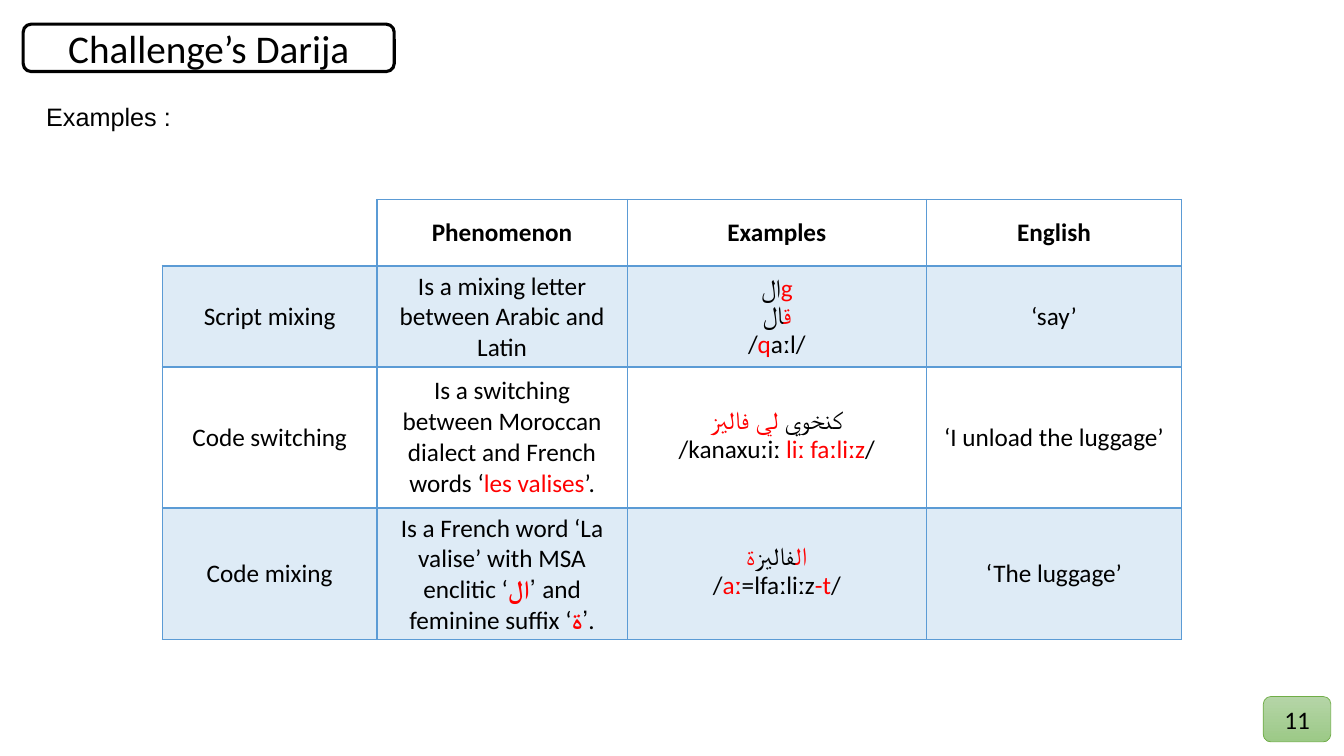
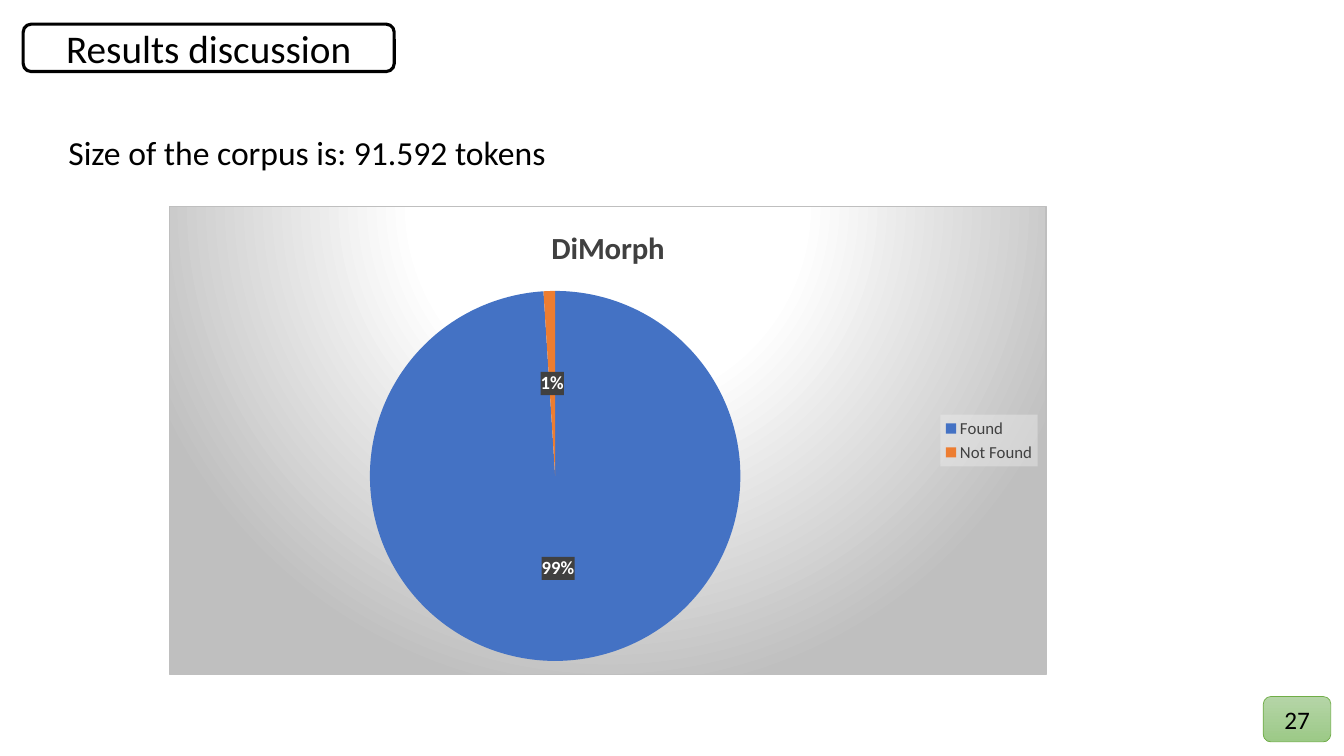
from lxml import etree
from pptx import Presentation
from pptx.chart.data import CategoryChartData
from pptx.dml.color import RGBColor
from pptx.enum.chart import XL_CHART_TYPE, XL_LABEL_POSITION, XL_LEGEND_POSITION
from pptx.enum.shapes import MSO_SHAPE
from pptx.enum.text import MSO_ANCHOR, PP_ALIGN
from pptx.oxml import parse_xml
from pptx.oxml.ns import nsdecls, qn
from pptx.util import Emu, Pt

PIE = XL_CHART_TYPE.PIE
MID_LABEL = XL_LABEL_POSITION.CENTER
RIGHT = XL_LEGEND_POSITION.RIGHT
ROUND = MSO_SHAPE.ROUNDED_RECTANGLE
MIDDLE = MSO_ANCHOR.MIDDLE
TOP = MSO_ANCHOR.TOP
LEFT = PP_ALIGN.LEFT
CENTER = PP_ALIGN.CENTER

BLACK = RGBColor(0x00, 0x00, 0x00)
WHITE = RGBColor(0xFF, 0xFF, 0xFF)
RED = RGBColor(0xFF, 0x00, 0x00)
SKY = RGBColor(0x5B, 0x9B, 0xD5)
BLUE = RGBColor(0x44, 0x72, 0xC4)
ORANGE = RGBColor(0xED, 0x7D, 0x31)
LEAF = RGBColor(0x70, 0xAD, 0x47)
PALE = RGBColor(0xB5, 0xD5, 0xA7)
MOSS = RGBColor(0x9C, 0xC9, 0x87)
GREY = RGBColor(0x40, 0x40, 0x40)
SILVER = RGBColor(0xBF, 0xBF, 0xBF)
MIST = RGBColor(0xF2, 0xF2, 0xF2)

SCALE = 9144
FONT = "Calibri"


def px(size):
    return Emu(size * SCALE)


def style(font, size=18, name=FONT, color=BLACK, bold=False):
    font.size = Pt(size)
    font.name = name
    font.bold = bold
    font.color.rgb = color


def write(frame, text, align=CENTER, anchor=MIDDLE, **form):
    frame.word_wrap = True
    frame.vertical_anchor = anchor
    lines = text if isinstance(text, list) else [[text]]
    for i, line in enumerate(lines):
        para = frame.paragraphs[0] if i == 0 else frame.add_paragraph()
        para.alignment = align
        for part in line:
            words, extra = part if isinstance(part, tuple) else (part, {})
            run = para.add_run()
            run.text = words
            style(run.font, **{**form, **extra})


def red(text, bold=False):
    return text, {"color": RED, "bold": bold}


def solid(color, alpha):
    return (f'<a:solidFill><a:srgbClr val="{color}"><a:alpha val="{alpha * 1000}"/>'
            '</a:srgbClr></a:solidFill>')


def glow(inner, outer):
    stops = "".join(
        f'<a:gs pos="{pos * 1000}"><a:srgbClr val="{color}"/></a:gs>'
        for pos, color in ((0, inner), (39, inner), (100, outer)))
    return (f'<a:gradFill><a:gsLst>{stops}</a:gsLst><a:path path="circle">'
            '<a:fillToRect l="50000" t="-80000" r="50000" b="180000"/></a:path></a:gradFill>'
            f'<a:ln w="9525"><a:solidFill><a:srgbClr val="{outer}"/></a:solidFill></a:ln>')


def coat(node, look):
    skin = parse_xml(f'<c:spPr {nsdecls("c", "a")}>{look}</c:spPr>')
    node.find(qn("c:txPr")).addprevious(skin)


def edge(cell, sides):
    props = cell._tc.get_or_add_tcPr()
    for i, (side, width) in enumerate(sides.items()):
        props.insert(i, parse_xml(
            f'<a:ln{side} {nsdecls("a")} w="{Pt(width)}"><a:solidFill>'
            f'<a:srgbClr val="{SKY}"/></a:solidFill></a:ln{side}>'))


class Deck:
    def __init__(self):
        self.show = Presentation()
        self.show.slide_width = px(1333)
        self.show.slide_height = px(750)
        self.slide = None

    def page(self, title, number):
        self.slide = self.show.slides.add_slide(self.show.slide_layouts[6])
        head = self.box(23, 24, 368, 47, title, BLACK, 2.25, size=28)
        head.fill.solid()
        head.fill.fore_color.rgb = WHITE
        badge = self.box(1253, 691, 67, 45, number, LEAF, 0.5)
        badge.fill.gradient()
        badge.fill.gradient_angle = 270
        for stop, color in zip(badge.fill.gradient_stops, (PALE, MOSS)):
            stop.color.rgb = color

    def box(self, x, y, w, h, text, line, width, **form):
        shape = self.slide.shapes.add_shape(ROUND, px(x), px(y), px(w), px(h))
        shape.shadow.inherit = False
        shape.line.color.rgb = line
        shape.line.width = Pt(width)
        write(shape.text_frame, text, **form)
        return shape

    def label(self, x, y, w, h, text, **form):
        area = self.slide.shapes.add_textbox(px(x), px(y), px(w), px(h))
        write(area.text_frame, text, align=LEFT, anchor=TOP, **form)

    def table(self, x, y, cols, rows, data):
        grid = self.slide.shapes.add_table(
            len(rows), len(cols), px(x), px(y), px(sum(cols)), px(sum(rows))).table
        grid.first_row = grid.horz_banding = False
        for col, width in zip(grid.columns, cols):
            col.width = px(width)
        for row, height in zip(grid.rows, rows):
            row.height = px(height)
        for r, line in enumerate(data):
            for c, text in enumerate(line):
                cell = grid.cell(r, c)
                if text:
                    write(cell.text_frame, text, bold=r == 0)
                cell.vertical_anchor = MIDDLE
                if r % 2:
                    cell.fill.solid()
                    cell.fill.fore_color.rgb = SKY
                    tint = cell._tc.tcPr.find(".//" + qn("a:srgbClr"))
                    etree.SubElement(tint, qn("a:alpha")).set("val", "20000")
                else:
                    cell.fill.background()
                sides = {"L": 1, "R": 1, "T": 2 if r == 1 else 1, "B": 2 if r == 0 else 1}
                if not text:
                    del sides["L"], sides["T"]
                edge(cell, sides)

    def pie(self, x, y, w, h, title, parts):
        data = CategoryChartData()
        data.categories = [name for name, _, _ in parts]
        data.add_series(title, [value for _, value, _ in parts])
        chart = self.slide.shapes.add_chart(PIE, px(x), px(y), px(w), px(h), data).chart
        style(chart.font, size=10)
        coat(chart._chartSpace, glow(WHITE, SILVER))
        chart.has_title = True
        write(chart.chart_title.text_frame, title, size=22, color=GREY, bold=True)
        chart.chart_title.include_in_layout = False
        chart.has_legend = True
        legend = chart.legend
        legend.position = RIGHT
        legend.include_in_layout = False
        style(legend.font, size=12, color=GREY)
        coat(legend._element, solid(MIST, 39))
        plot = chart.plots[0]
        plot.vary_by_categories = True
        series = plot.series[0]
        for i, (_, _, color) in enumerate(parts):
            fill = series.points[i].format.fill
            fill.solid()
            fill.fore_color.rgb = color
        tags = series.data_labels
        tags.show_percentage = True
        tags.show_value = False
        tags.number_format = "0%"
        tags.number_format_is_linked = False
        tags.position = MID_LABEL
        style(tags.font, size=13.3, color=WHITE, bold=True)
        coat(tags._element, solid(GREY, 85))


def main():
    deck = Deck()

    deck.page("Challenge’s Darija", "11")
    deck.label(36, 96, 752, 40, "Examples :", name="Arial")
    deck.table(161, 198, [213, 248, 297, 253], [66, 80, 140, 114], [
        ["", "Phenomenon", "Examples", "English"],
        ["Script mixing",
         "Is a mixing letter between Arabic and Latin",
         [["ال", red("g")],
          [red("ق"), "ال"],
          ["/", red("q"), "aːl/"]],
         "‘say’"],
        ["Code switching",
         [["Is a switching between Moroccan dialect and French words ‘",
           red("les valises"), "’."]],
         [["كنخوي ", red("لي فاليز")],
          ["/kanaxuːiː ", red("liː faːliːz"), "/"]],
         "‘I unload the luggage’"],
        ["Code mixing",
         [["Is a French word ‘La valise’ with MSA enclitic ‘", red("ال", bold=True),
           "’ and feminine suffix ‘", red("ة", bold=True), "’."]],
         [[red("ال"), "فاليز", red("ة")],
          ["/", red("aː"), "=lfaːliːz", red("-t"), "/"]],
         "‘The luggage’"],
    ])

    deck.page("Results discussion", "27")
    deck.label(58, 126, 576, 50, "Size of the corpus is: 91.592 tokens", size=24)
    deck.pie(168, 204, 870, 466, "DiMorph",
             [("Found", 99, BLUE), ("Not Found", 1, ORANGE)])

    deck.show.save("out.pptx")


if __name__ == "__main__":
    main()
